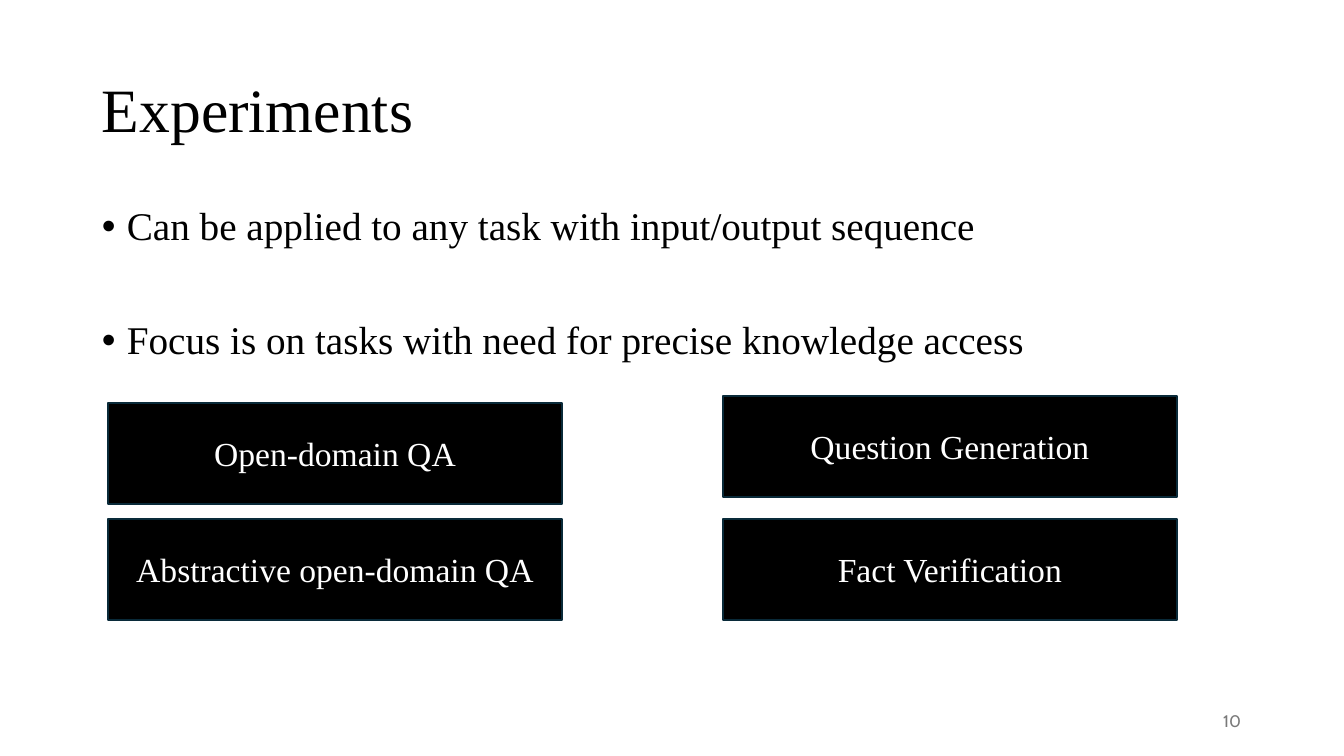
from lxml.etree import SubElement
from pptx import Presentation
from pptx.dml.color import RGBColor
from pptx.enum.shapes import MSO_SHAPE
from pptx.enum.text import MSO_ANCHOR, PP_ALIGN
from pptx.oxml.ns import qn
from pptx.util import Pt

TITLE = "Experiments"
POINTS = [
    "Can be applied to any task with input/output sequence",
    "Focus is on tasks with need for precise knowledge access",
]
PAGE_NUMBER = "10"
TASK_COLUMNS = [
    (108, [("Open-domain QA", 403), ("Abstractive open-domain QA", 519)]),
    (723, [("Question Generation", 396), ("Fact Verification", 519)]),
]
TASK_WIDTH, TASK_HEIGHT = 454, 101
SERIF = "Times New Roman"
BLACK, WHITE, GREY, NAVY = "000000", "FFFFFF", "797979", "092A39"
EMU_PER_INCH, PX_PER_INCH = 914400, 100.8


def px(length):
    return round(length * EMU_PER_INCH / PX_PER_INCH)


def color(value):
    return RGBColor.from_string(value)


def add_bullet(para, indent):
    properties = para._p.get_or_add_pPr()
    properties.set("marL", str(px(indent)))
    properties.set("indent", str(-px(indent)))
    SubElement(properties, qn("a:buFont"), typeface="Arial")
    SubElement(properties, qn("a:buChar"), char="•")


def write(shape, lines, size, ink=BLACK, font=SERIF, align=PP_ALIGN.LEFT,
          anchor=MSO_ANCHOR.MIDDLE, spacing=None, gap=0, bullet=0):
    frame = shape.text_frame
    frame.word_wrap = True
    frame.vertical_anchor = anchor
    for index, line in enumerate(lines):
        para = frame.add_paragraph() if index else frame.paragraphs[0]
        para.alignment = align
        if spacing:
            para.line_spacing = spacing
        if index and gap:
            para.space_before = Pt(gap)
        if bullet:
            add_bullet(para, bullet)
        span = para.add_run()
        span.text = line
        span.font.size = Pt(size)
        span.font.name = font
        span.font.color.rgb = color(ink)


def add_text(page, left, top, width, height, lines, size, **style):
    box = page.shapes.add_textbox(px(left), px(top), px(width), px(height))
    write(box, lines, size, **style)


def add_task(page, left, top, label):
    box = page.shapes.add_shape(
        MSO_SHAPE.RECTANGLE, px(left), px(top), px(TASK_WIDTH), px(TASK_HEIGHT))
    box.shadow.inherit = False
    box.fill.solid()
    box.fill.fore_color.rgb = color(BLACK)
    box.line.color.rgb = color(NAVY)
    box.line.width = Pt(1.5)
    write(box, [label], 24, ink=WHITE, align=PP_ALIGN.CENTER)


def main():
    deck = Presentation()
    deck.slide_width, deck.slide_height = px(1344), px(756)
    page = deck.slides.add_slide(deck.slide_layouts[6])
    add_text(page, 92, 40, 1159, 146, [TITLE], 44, spacing=0.9)
    add_text(page, 92, 202, 1159, 480, POINTS, 28, anchor=MSO_ANCHOR.TOP,
             spacing=0.9, gap=51, bullet=25)
    add_text(page, 949, 701, 302, 40, [PAGE_NUMBER], 12, ink=GREY,
             font="Cabin", align=PP_ALIGN.RIGHT)
    for left, tasks in TASK_COLUMNS:
        for label, top in tasks:
            add_task(page, left, top, label)
    deck.save("out.pptx")


if __name__ == "__main__":
    main()
